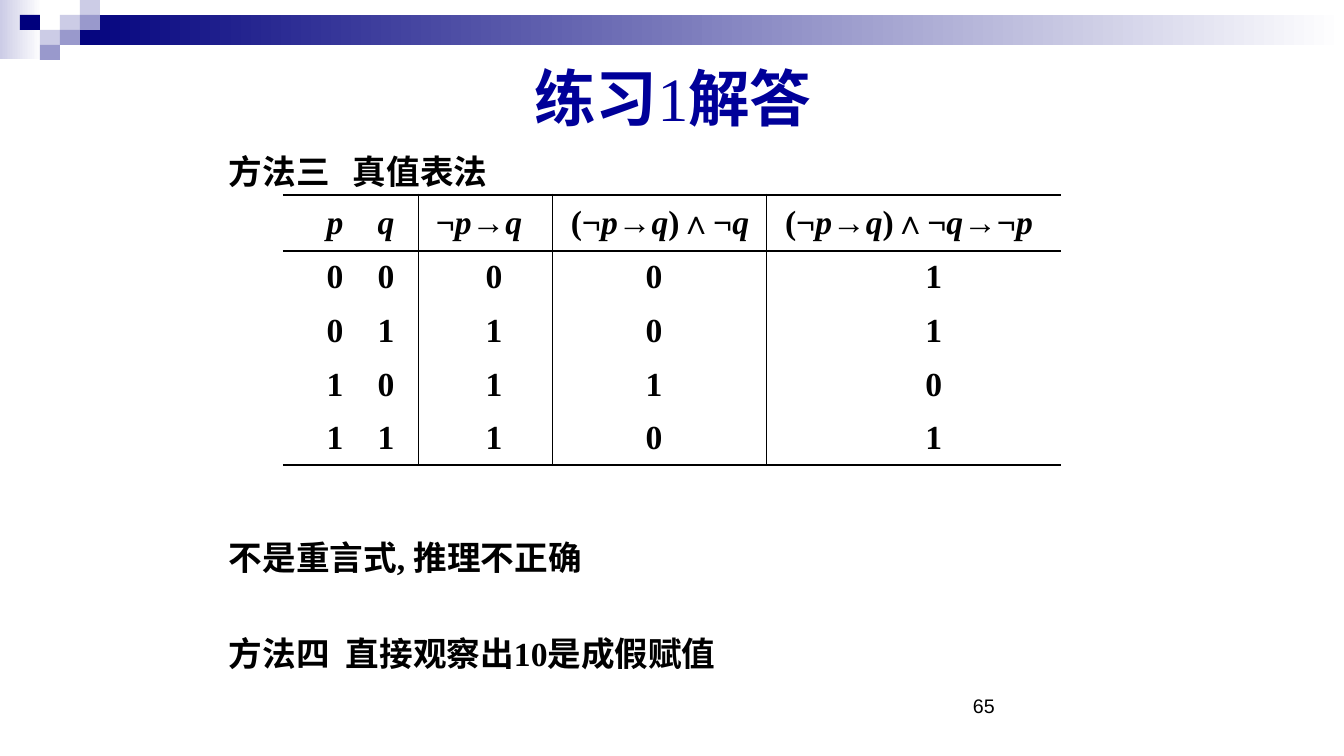
from itertools import groupby

from lxml import etree
from pptx import Presentation
from pptx import util as u
from pptx.dml.color import RGBColor
from pptx.enum import shapes, text
from pptx.oxml import ns

PX = 914400 / 100.8
NAVY = RGBColor(0x00, 0x00, 0x7D)
TITLE_BLUE = RGBColor(0x00, 0x00, 0x99)
MID = RGBColor(0x99, 0x99, 0xCC)
PALE = RGBColor(0xCC, 0xCC, 0xE6)
WHITE = RGBColor(0xFF, 0xFF, 0xFF)
BLACK = RGBColor(0x00, 0x00, 0x00)

SERIF = {"name": "Times New Roman", "size": u.Pt(24), "bold": True, "color": BLACK}
TITLE = {"name": "Arial", "size": u.Pt(44), "bold": True, "color": TITLE_BLUE}
TITLE_DIGIT = {**TITLE, "name": "Times New Roman", "bold": False}
NUMBER = {"name": "Arial", "size": u.Pt(14), "bold": False, "color": BLACK}

MOSAIC = [(3, 1, PALE), (4, 0, PALE), (4, 1, MID), (2, 2, PALE),
          (1, 1, NAVY), (3, 2, MID), (2, 3, MID)]
TILE_W, TILE_H = 20, 15

TRUTH_ROWS = [
    ["p", "q", "¬p→q", "(¬p→q)∧¬q", "(¬p→q)∧¬q→¬p"],
    ["0", "0", "0", "0", "1"],
    ["0", "1", "1", "0", "1"],
    ["1", "0", "1", "1", "0"],
    ["1", "1", "1", "0", "1"],
]
COL_EDGES = [283, 360, 418, 553, 767, 1061]
ROW_EDGES = [195, 251, 304, 358, 412, 465]
HEAD_CENTRES = [335, 386, 479, 660, 909]
VALUE_CENTRES = [335, 386, 494, 654, 934]


def px(n):
    """Turn a length in px into EMU."""
    return u.Emu(round(n * PX))


def add_run(p, words, fmt, **extra):
    """Add one run with the given format to a paragraph."""
    r = p.add_run()
    r.text = words
    for key, value in {**fmt, **extra}.items():
        if key == "color":
            r.font.color.rgb = value
        else:
            setattr(r.font, key, value)


def add_label(s, box, runs, align=text.PP_ALIGN.LEFT, tab=None):
    """Add a one-line text box centred vertically, with an optional tab stop."""
    tf = s.shapes.add_textbox(*map(px, box)).text_frame
    frame = {"word_wrap": True, "vertical_anchor": text.MSO_ANCHOR.MIDDLE,
             "margin_left": 0, "margin_right": 0, "margin_top": 0, "margin_bottom": 0}
    for key, value in frame.items():
        setattr(tf, key, value)
    p = tf.paragraphs[0]
    p.alignment = align
    if tab:
        stops = etree.SubElement(p._p.get_or_add_pPr(), ns.qn("a:tabLst"))
        etree.SubElement(stops, ns.qn("a:tab"), pos=str(px(tab)), algn="l")
    for words, fmt in runs:
        add_run(p, words, fmt)


def add_block(s, box, *colors):
    """Add a borderless rectangle in one colour or a left-to-right gradient."""
    sp = s.shapes.add_shape(shapes.MSO_SHAPE.RECTANGLE, *map(px, box))
    sp.shadow.inherit = False
    sp.line.fill.background()
    if len(colors) == 1:
        sp.fill.solid()
        sp.fill.fore_color.rgb = colors[0]
    else:
        sp.fill.gradient()
        sp.fill.gradient_angle = 0
        for stop, color in zip(sp.fill.gradient_stops, colors):
            stop.color.rgb = color


def set_borders(cell, widths):
    """Set the left, right, top and bottom borders in points, 0 for none."""
    tcPr = cell._tc.get_or_add_tcPr()
    for i, (side, width) in enumerate(zip("LRTB", widths)):
        ln = etree.Element(ns.qn(f"a:ln{side}"), w=str(u.Pt(width)))
        if width:
            fill = etree.SubElement(ln, ns.qn("a:solidFill"))
            etree.SubElement(fill, ns.qn("a:srgbClr"), val=str(BLACK))
        else:
            etree.SubElement(ln, ns.qn("a:noFill"))
        tcPr.insert(i, ln)


def fill_cell(cell, words, shift):
    """Write a formula with italic variables, its centre moved by shift px."""
    cell.fill.solid()
    cell.fill.fore_color.rgb = WHITE
    frame = {"margin_left": px(max(0, shift)), "margin_right": px(max(0, -shift)),
             "margin_top": 0, "margin_bottom": 0,
             "vertical_anchor": text.MSO_ANCHOR.MIDDLE}
    for key, value in frame.items():
        setattr(cell, key, value)
    p = cell.text_frame.paragraphs[0]
    p.alignment = text.PP_ALIGN.CENTER
    for italic, chars in groupby(words, lambda c: c in "pq"):
        add_run(p, "".join(chars), SERIF, italic=italic)


def add_truth_table(s):
    """Add the truth table with its ruled lines."""
    left, right, top, bottom = COL_EDGES[0], COL_EDGES[-1], ROW_EDGES[0], ROW_EDGES[-1]
    n_rows, n_cols = len(TRUTH_ROWS), len(TRUTH_ROWS[0])
    box = map(px, (left, top, right - left, bottom - top))
    table = s.shapes.add_table(n_rows, n_cols, *box).table
    table.first_row = table.horz_banding = False
    for col, a, b in zip(table.columns, COL_EDGES, COL_EDGES[1:]):
        col.width = px(b - a)
    for row, a, b in zip(table.rows, ROW_EDGES, ROW_EDGES[1:]):
        row.height = px(b - a)
    across = [2.25, 1] + [0] * (n_rows - 2) + [2.25]
    down = [0, 0] + [0.75] * (n_cols - 2) + [0]
    for i, row in enumerate(TRUTH_ROWS):
        centres = VALUE_CENTRES if i else HEAD_CENTRES
        for j, words in enumerate(row):
            shift = 2 * centres[j] - COL_EDGES[j] - COL_EDGES[j + 1]
            cell = table.cell(i, j)
            fill_cell(cell, words, shift)
            set_borders(cell, (down[j], down[j + 1], across[i], across[i + 1]))


def main():
    """Build the slide and save it."""
    prs = Presentation()
    prs.slide_width, prs.slide_height = px(1344), px(756)
    s = prs.slides.add_slide(prs.slide_layouts[6])
    add_block(s, (0, 0, 42, 59), PALE, WHITE)
    add_block(s, (60, 15, 1284, 30), NAVY, WHITE)
    for col, row, color in MOSAIC:
        add_block(s, (col * TILE_W, row * TILE_H, TILE_W, TILE_H), color)
    add_label(s, (68, 50, 1210, 93),
              [("练习", TITLE), ("1", TITLE_DIGIT), ("解答", TITLE)],
              text.PP_ALIGN.CENTER)
    add_label(s, (229, 146, 880, 50), [("方法三\t真值表法", SERIF)], tab=124)
    add_truth_table(s)
    add_label(s, (229, 532, 880, 50), [("不是重言式, 推理不正确", SERIF)])
    add_label(s, (229, 628, 880, 50), [("方法四\t直接观察出10是成假赋值", SERIF)], tab=117)
    add_label(s, (973, 694, 290, 24), [("65", NUMBER)])
    prs.save("out.pptx")


if __name__ == "__main__":
    main()
